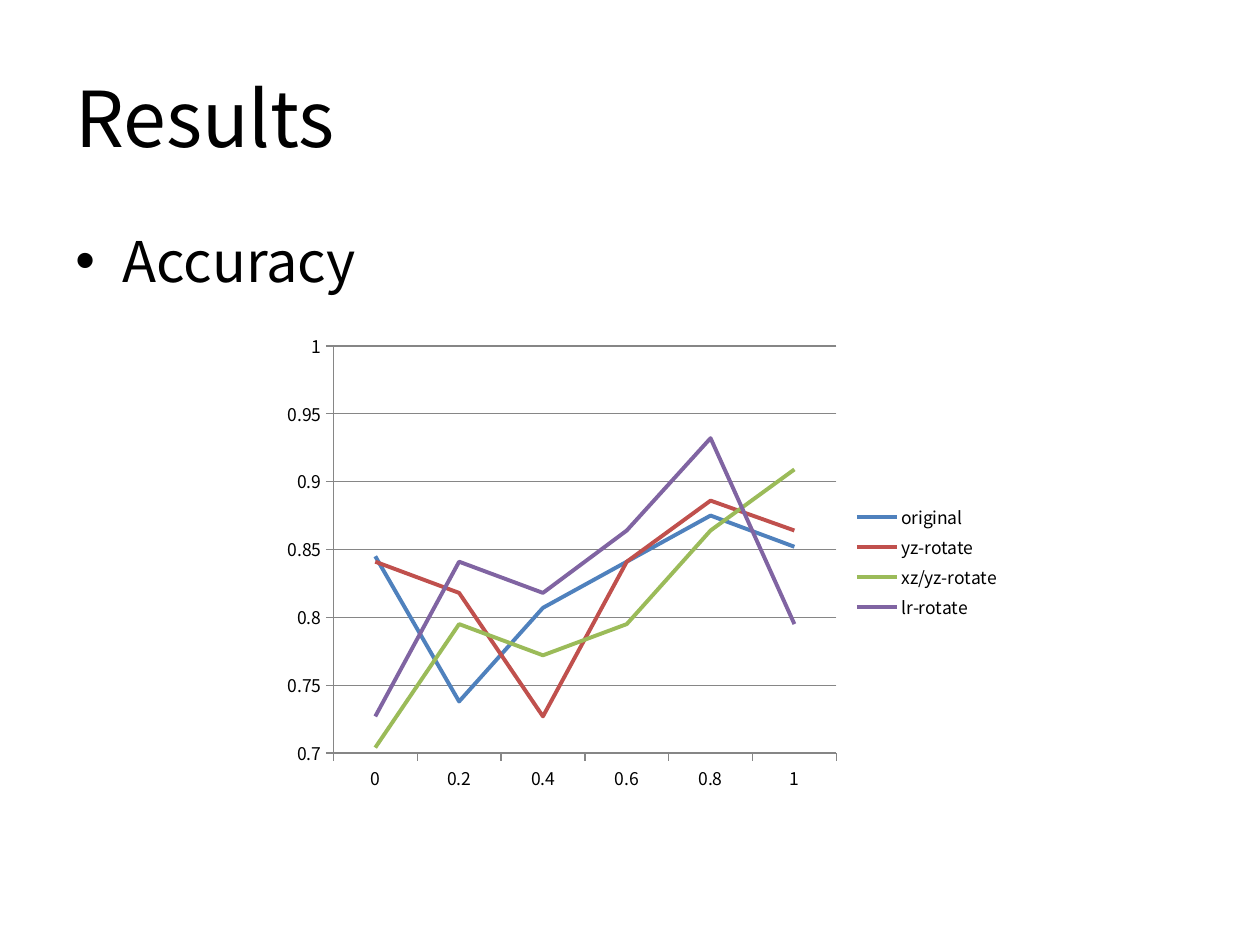
import pptx
import pptx.chart.data
import pptx.dml.color
import pptx.enum.chart
import pptx.enum.text
import pptx.oxml
import pptx.oxml.ns
import pptx.util

PX = 914400 / 126
FONT = "Noto Sans CJK KR"
HUES = {
    "text": "000000", "page": "FFFFFF", "grid": "868686",
    "original": "4F81BD", "yz-rotate": "C0504D",
    "xz/yz-rotate": "9BBB59", "lr-rotate": "8064A2",
}
CATS = ["0", "0.2", "0.4", "0.6", "0.8", "1"]
ROWS = {
    "original": [0.845, 0.738, 0.807, 0.841, 0.875, 0.852],
    "yz-rotate": [0.841, 0.818, 0.727, 0.841, 0.886, 0.864],
    "xz/yz-rotate": [0.704, 0.795, 0.772, 0.795, 0.864, 0.909],
    "lr-rotate": [0.727, 0.841, 0.818, 0.864, 0.932, 0.795],
}


def emu(px):
    return pptx.util.Emu(round(px * PX))


def hue(name):
    return pptx.dml.color.RGBColor.from_string(HUES[name])


def style(font, size):
    font.name = FONT
    font.size = pptx.util.Pt(size)
    font.color.rgb = hue("text")


def add_text(slide, box, text, size, anchor):
    """Place one line of text in a box and return its paragraph."""
    frame = slide.shapes.add_textbox(*map(emu, box)).text_frame
    frame.word_wrap = True
    frame.vertical_anchor = anchor
    para = frame.paragraphs[0]
    run = para.add_run()
    run.text = text
    style(run.font, size)
    return para


def add_title(slide, box):
    add_text(slide, box, "Results", 44, pptx.enum.text.MSO_ANCHOR.MIDDLE)


def add_body(slide, box):
    para = add_text(slide, box, "Accuracy", 32, pptx.enum.text.MSO_ANCHOR.TOP)
    # Hanging bullet
    props = para._p.get_or_add_pPr()
    props.set("marL", str(emu(47)))
    props.set("indent", str(-emu(47)))
    for tag, key, val in (("buFont", "typeface", "Arial"), ("buChar", "char", "•")):
        mark = pptx.oxml.parse_xml(
            f'<a:{tag} {pptx.oxml.ns.nsdecls("a")} {key}="{val}"/>')
        props.append(mark)


def add_graph(slide, box):
    data = pptx.chart.data.CategoryChartData()
    data.categories = CATS
    for name, vals in ROWS.items():
        data.add_series(name, vals)
    kind = pptx.enum.chart.XL_CHART_TYPE.LINE
    chart = slide.shapes.add_chart(kind, *map(emu, box), data).chart
    style(chart.font, 10)
    chart.has_title = False

    # Legend
    chart.has_legend = True
    chart.legend.position = pptx.enum.chart.XL_LEGEND_POSITION.RIGHT
    chart.legend.include_in_layout = False

    # Axes and grid
    axis = chart.value_axis
    axis.minimum_scale, axis.maximum_scale, axis.major_unit = 0.7, 1, 0.05
    axis.has_major_gridlines = True
    axis.tick_labels.number_format = "General"
    axis.tick_labels.number_format_is_linked = False
    for part in (axis, chart.category_axis):
        part.major_tick_mark = pptx.enum.chart.XL_TICK_MARK.OUTSIDE
        part.minor_tick_mark = pptx.enum.chart.XL_TICK_MARK.NONE
    for part in (axis, chart.category_axis, axis.major_gridlines):
        part.format.line.color.rgb = hue("grid")
        part.format.line.width = pptx.util.Pt(0.75)

    # Lines
    plot = chart.plots[0]
    plot.vary_by_categories = False
    for row in plot.series:
        row.smooth = False
        row.marker.style = pptx.enum.chart.XL_MARKER_STYLE.NONE
        row.format.line.color.rgb = hue(row.name)
        row.format.line.width = pptx.util.Pt(2.25)


def main():
    deck = pptx.Presentation()
    deck.slide_width, deck.slide_height = emu(1260), emu(945)
    slide = deck.slides.add_slide(deck.slide_layouts[6])
    slide.background.fill.solid()
    slide.background.fill.fore_color.rgb = hue("page")
    add_title(slide, (63, 38, 1134, 157))
    add_body(slide, (63, 220, 1134, 624))
    add_graph(slide, (273, 324, 740, 476))
    deck.save("out.pptx")


if __name__ == "__main__":
    main()
